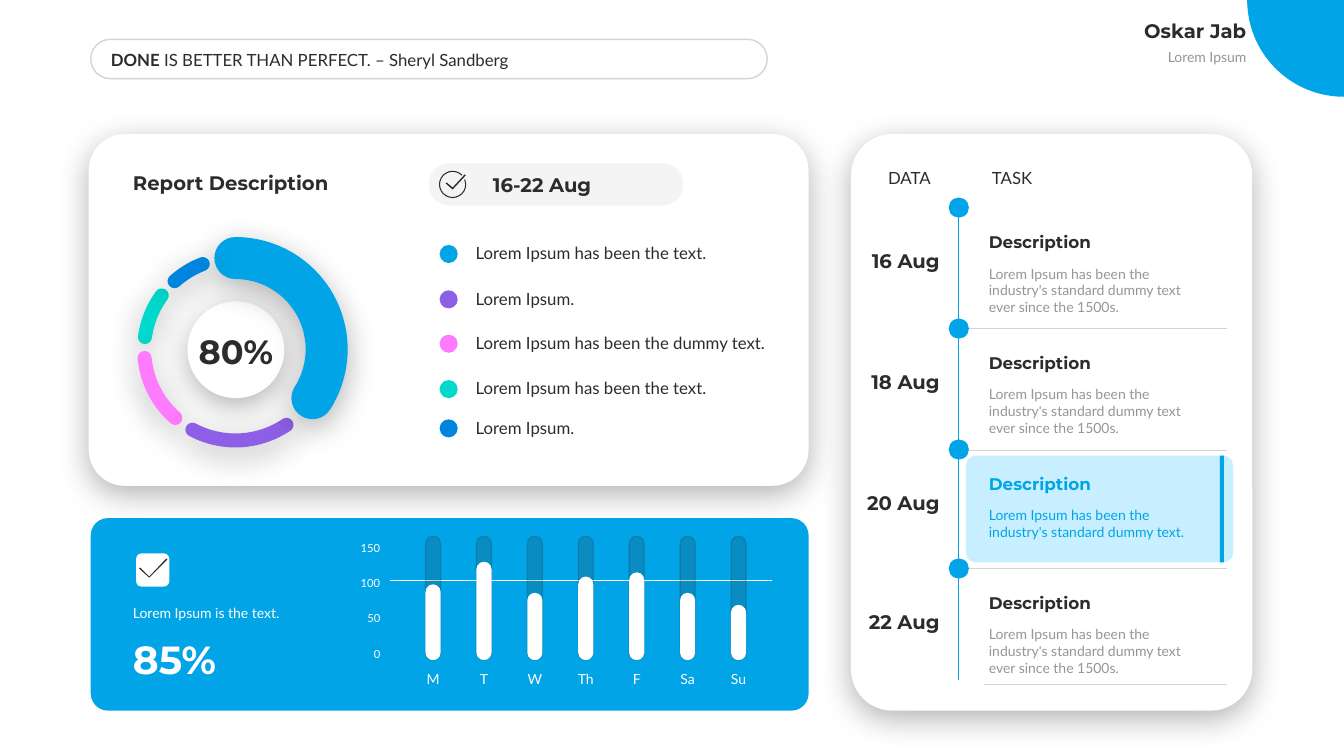
from dataclasses import dataclass, replace
from typing import Optional

from lxml import etree
from pptx import Presentation
from pptx.dml.color import RGBColor
from pptx.enum.shapes import MSO_CONNECTOR, MSO_SHAPE
from pptx.enum.text import MSO_ANCHOR, MSO_AUTO_SIZE, PP_ALIGN
from pptx.oxml.ns import qn
from pptx.util import Inches, Pt

ARC, OVAL = MSO_SHAPE.ARC, MSO_SHAPE.OVAL
RECT, ROUNDED = MSO_SHAPE.RECTANGLE, MSO_SHAPE.ROUNDED_RECTANGLE
STRAIGHT = MSO_CONNECTOR.STRAIGHT
LEFT, CENTER, RIGHT = PP_ALIGN.LEFT, PP_ALIGN.CENTER, PP_ALIGN.RIGHT
TOP, MIDDLE, BOTTOM = MSO_ANCHOR.TOP, MSO_ANCHOR.MIDDLE, MSO_ANCHOR.BOTTOM
FIT = MSO_AUTO_SIZE.SHAPE_TO_FIT_TEXT

COLORS = {
    "blue": "01A4E7", "deep_blue": "0084DE", "pale_blue": "C8EFFF",
    "violet": "8D5FE6", "pink": "FD7BFC", "teal": "01D9CC",
    "ink": "2C2C2C", "gray": "969696", "white": "FFFFFF", "black": "000000",
}


@dataclass(frozen=True)
class TextStyle:
    font: str
    size: float
    color: str = "ink"
    bold: bool = False


@dataclass(frozen=True)
class Stroke:
    color: str
    width: float
    opacity: int = 100


@dataclass(frozen=True)
class DonutSegment:
    start: float
    end: float
    color: str
    width: float = 10


@dataclass(frozen=True)
class LegendEntry:
    color: str
    text: str
    top: float


@dataclass(frozen=True)
class DayBar:
    day: str
    value: int


@dataclass(frozen=True)
class Task:
    date: str
    dot_top: float
    rule_left: float
    rule_y: float
    active: bool = False


HEADING = TextStyle("Montserrat", 14, bold=True)
TASK_TITLE = replace(HEADING, size=12)
BODY = TextStyle("Lato", 12)
SMALL = TextStyle("Lato", 10, "gray")
SMALL_WHITE = replace(SMALL, color="white")
TICK = replace(SMALL_WHITE, size=8)
FAINT = Stroke("ink", 0.5, 20)

SEGMENTS = [
    DonutSegment(187.68, 216.15, "teal"),
    DonutSegment(131.19, 174.5, "pink"),
    DonutSegment(55.91, 118.1, "violet"),
    DonutSegment(270, 32.43, "blue", 30),
    DonutSegment(228.21, 249.04, "deep_blue"),
]
LEGEND = [
    LegendEntry("blue", "Lorem Ipsum has been the text.", 2.43),
    LegendEntry("violet", "Lorem Ipsum.", 2.88),
    LegendEntry("pink", "Lorem Ipsum has been the dummy text.", 3.32),
    LegendEntry("teal", "Lorem Ipsum has been the text.", 3.77),
    LegendEntry("deep_blue", "Lorem Ipsum.", 4.16),
]
BARS = [DayBar("M", 99), DayBar("T", 131), DayBar("W", 87), DayBar("Th", 110),
        DayBar("F", 116), DayBar("Sa", 87), DayBar("Su", 70)]
TASKS = [
    Task("16 Aug", 1.96, 9.61, 3.26),
    Task("18 Aug", 3.16, 9.61, 4.47),
    Task("20 Aug", 4.36, 9.61, 5.64, active=True),
    Task("22 Aug", 5.54, 9.76, 6.79),
]

deck = Presentation()
deck.slide_width, deck.slide_height = Inches(13.33), Inches(7.5)
shapes = deck.slides.add_slide(deck.slide_layouts[6]).shapes


def rgb(name: str) -> RGBColor:
    return RGBColor.from_string(COLORS[name])


def set_opacity(color_element, percent: int) -> None:
    if percent < 100:
        etree.SubElement(color_element, qn("a:alpha"), val=str(percent * 1000))


def add_soft_shadow(shape) -> None:
    effects = shape.element.spPr.find(qn("a:effectLst"))
    outer = etree.SubElement(effects, qn("a:outerShdw"), blurRad=str(Pt(23)), dist=str(Pt(6)),
                             dir="5400000", algn="t", rotWithShape="0")
    set_opacity(etree.SubElement(outer, qn("a:srgbClr"), val=COLORS["black"]), 30)


def apply_stroke(item, stroke: Stroke) -> None:
    item.line.width = Pt(stroke.width)
    item.line.color.rgb = rgb(stroke.color)
    line = item.element.spPr.find(qn("a:ln"))
    set_opacity(line.find(f"{qn('a:solidFill')}/{qn('a:srgbClr')}"), stroke.opacity)


def paint(shape, fill: Optional[str], stroke: Optional[Stroke] = None,
          opacity: int = 100, shadow: bool = False) -> None:
    shape.shadow.inherit = False
    if fill:
        shape.fill.solid()
        shape.fill.fore_color.rgb = rgb(fill)
        set_opacity(shape.element.spPr.find(f"{qn('a:solidFill')}/{qn('a:srgbClr')}"), opacity)
    else:
        shape.fill.background()
    if stroke:
        apply_stroke(shape, stroke)
    else:
        shape.line.fill.background()
    if shadow:
        add_soft_shadow(shape)


def add_figure(kind, left: float, top: float, width: float, height: float,
               fill: Optional[str], adjust: tuple = (), **look):
    shape = shapes.add_shape(kind, Inches(left), Inches(top), Inches(width), Inches(height))
    for index, value in enumerate(adjust):
        shape.adjustments[index] = value
    paint(shape, fill, **look)
    return shape


def arc_angles(start: float, end: float) -> tuple:
    """Turn degrees into arc adjustment values."""
    return start * 0.6, end * 0.6


def add_rule(x1: float, y1: float, x2: float, y2: float, stroke: Stroke) -> None:
    rule = shapes.add_connector(STRAIGHT, Inches(x1), Inches(y1), Inches(x2), Inches(y2))
    apply_stroke(rule, stroke)
    etree.SubElement(rule.element.spPr, qn("a:effectLst"))


def add_text(text: str, left: float, top: float, width: float, height: float, style: TextStyle,
             align=LEFT, anchor=TOP, side_inset: float = 0.1):
    frame = shapes.add_textbox(Inches(left), Inches(top), Inches(width), Inches(height)).text_frame
    frame.word_wrap, frame.auto_size, frame.vertical_anchor = True, FIT, anchor
    frame.margin_left = frame.margin_right = Inches(side_inset)
    paragraph = frame.paragraphs[0]
    paragraph.text, paragraph.alignment = text, align
    font = paragraph.font
    font.name, font.size, font.bold = style.font, Pt(style.size), style.bold
    font.color.rgb = rgb(style.color)
    return paragraph


def add_check_mark(*corners: tuple) -> None:
    points = [(Inches(x), Inches(y)) for x, y in corners]
    builder = shapes.build_freeform(*points[0], scale=1.0)
    builder.add_line_segments(points[1:], close=True)
    paint(builder.convert_to_shape(), "ink")


def draw_header() -> None:
    add_figure(ARC, 12.37, -0.96, 1.92, 1.92, "blue", arc_angles(89.64, 180.45))
    add_text("Lorem Ipsum", 10.14, 0.43, 2.32, 0.27, SMALL, RIGHT)
    add_text("Oskar Jab", 10.14, 0.13, 2.32, 0.34, HEADING, RIGHT, BOTTOM)
    add_figure(ROUNDED, 0.9, 0.39, 6.71, 0.39, None, (0.5,), stroke=Stroke("ink", 1, 20))
    quote = add_text("DONE", 1.06, 0.44, 5.64, 0.3, BODY, anchor=MIDDLE, side_inset=0.04)
    quote.runs[0].font.bold = True
    quote.add_run().text = " IS BETTER THAN PERFECT. – Sheryl Sandberg"


def draw_report() -> None:
    add_figure(ROUNDED, 0.88, 1.33, 7.14, 3.49, "white", (0.103,), shadow=True)
    add_text("Report Description", 1.22, 1.64, 3.52, 0.34, HEADING, anchor=BOTTOM)
    add_figure(ROUNDED, 4.25, 1.62, 2.53, 0.42, "ink", (0.5,), opacity=5)
    add_figure(ARC, 4.36, 1.7, 0.26, 0.26, None, arc_angles(338, 315), stroke=Stroke("ink", 0.75))
    add_check_mark((4.49, 1.86), (4.43, 1.81), (4.42, 1.82), (4.49, 1.88), (4.62, 1.74), (4.61, 1.73))
    add_text("16-22 Aug", 4.79, 1.66, 1.88, 0.34, HEADING, anchor=MIDDLE)
    add_figure(OVAL, 1.86, 2.99, 0.96, 0.96, "white", shadow=True)
    add_text("80%", 1.8, 3.23, 1.08, 0.5, replace(HEADING, size=24), CENTER, BOTTOM)
    for segment in SEGMENTS:
        arc = add_figure(ARC, 1.43, 2.56, 1.81, 1.81, None, arc_angles(segment.start, segment.end),
                         stroke=Stroke(segment.color, segment.width), shadow=True)
        arc.element.spPr.find(qn("a:ln")).set("cap", "rnd")
    for entry in LEGEND:
        add_figure(OVAL, 4.36, entry.top, 0.18, 0.18, entry.color)
        add_text(entry.text, 4.62, entry.top - 0.07, 3.16, 0.3, BODY, anchor=MIDDLE)


def draw_week() -> None:
    add_figure(ROUNDED, 0.9, 5.14, 7.12, 1.91, "blue", (0.089,))
    add_figure(ROUNDED, 1.35, 5.49, 0.33, 0.33, "white")
    add_text("Lorem Ipsum is the text.", 1.22, 5.94, 1.88, 0.27, SMALL_WHITE, anchor=BOTTOM)
    add_text("85%", 1.22, 6.25, 1.88, 0.57, replace(HEADING, size=28, color="white"))
    add_check_mark((1.66, 5.55), (1.65, 5.54), (1.48, 5.72), (1.39, 5.63), (1.38, 5.64), (1.48, 5.73))
    add_rule(3.87, 5.76, 7.66, 5.76, Stroke("white", 0.5))
    per_unit, zero_y, base_y, width = 0.007, 6.49, 6.55, 0.15
    for tick in range(0, 151, 50):
        add_text(str(tick), 3.38, zero_y - 0.12 - tick * per_unit, 0.49, 0.24, TICK, RIGHT)
    for index, bar in enumerate(BARS):
        left = 4.22 + 0.505 * index
        top = zero_y - bar.value * per_unit
        add_figure(ROUNDED, left, 5.32, width, 1.23, "ink", (0.5,), opacity=20,
                   stroke=Stroke("ink", 1, 20))
        add_figure(ROUNDED, left, top, width, base_y - top, "white", (0.5,))
        add_text(bar.day, left - 0.12, 6.6, 0.39, 0.27, SMALL_WHITE, CENTER, side_inset=0)


def draw_tasks() -> None:
    add_figure(ROUNDED, 8.44, 1.33, 3.98, 5.72, "white", (0.103,), shadow=True)
    add_figure(ROUNDED, 9.58, 4.52, 2.65, 1.06, "pale_blue", (0.091,))
    add_text("TASK", 9.74, 1.61, 1.76, 0.3, BODY, anchor=MIDDLE)
    add_text("DATA", 8.51, 1.61, 0.82, 0.3, BODY, RIGHT, MIDDLE)
    for task in TASKS:
        top = task.dot_top
        title, detail = TASK_TITLE, SMALL
        text, height = "Lorem Ipsum has been the industry's standard dummy text ever since the 1500s.", 0.61
        if task.active:
            title, detail = replace(title, color="blue"), replace(detail, color="blue")
            text, height = "Lorem Ipsum has been the industry's standard dummy text.", 0.44
        add_rule(9.51, top + 0.15, 9.51, top + 1.21, Stroke("blue", 0.5))
        add_figure(OVAL, 9.41, top, 0.2, 0.2, "blue")
        add_text(task.date, 8.52, top + 0.45, 0.84, 0.34, HEADING, RIGHT, BOTTOM, 0.04)
        add_text(text, 9.71, top + 0.62, 2.37, height, detail)
        add_text("Description", 9.71, top + 0.29, 2.37, 0.3, title, anchor=BOTTOM)
        add_rule(task.rule_left, task.rule_y, 12.17, task.rule_y, FAINT)
    add_figure(RECT, 12.1, 4.52, 0.04, 1.06, "blue")


if __name__ == "__main__":
    draw_header()
    draw_report()
    draw_week()
    draw_tasks()
    deck.save("out.pptx")
